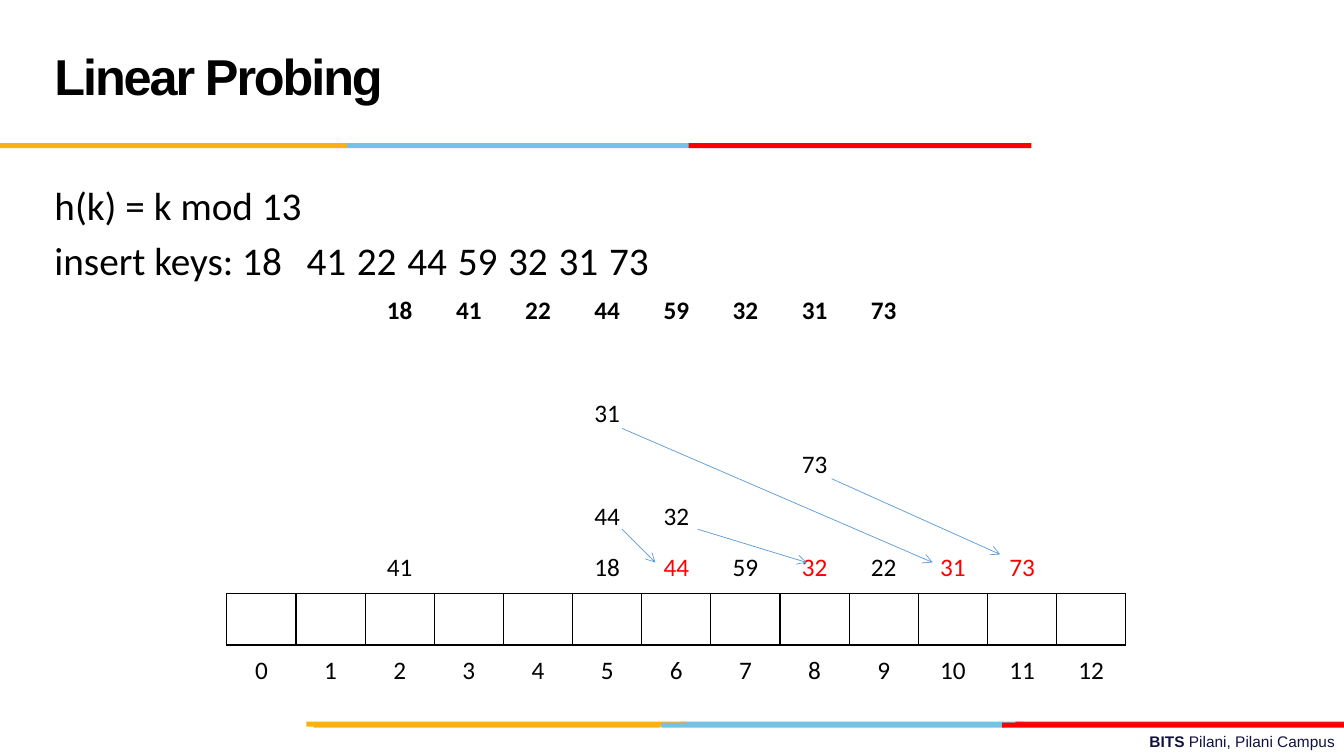
from lxml import etree
from pptx import Presentation
from pptx.dml.color import RGBColor
from pptx.enum.shapes import MSO_CONNECTOR, MSO_SHAPE
from pptx.enum.text import MSO_ANCHOR, MSO_AUTO_SIZE, PP_ALIGN
from pptx.oxml.ns import qn
from pptx.util import Inches, Pt

RECT = MSO_SHAPE.RECTANGLE
STRAIGHT = MSO_CONNECTOR.STRAIGHT
MIDDLE, TOP = MSO_ANCHOR.MIDDLE, MSO_ANCHOR.TOP
LEFT, CENTER, RIGHT = PP_ALIGN.LEFT, PP_ALIGN.CENTER, PP_ALIGN.RIGHT
PLAIN_GRID = "{2D5ABB26-0587-4C30-8999-92F81FD0307C}"

COLORS = {
    "black": "000000", "red": "FF0000", "brick": "E31C24", "blue": "76C2E5",
    "gold": "FCB017", "navy": "101141", "arrow": "5B9BD5",
}


class Deck:
    def __init__(self, slide):
        self.slide = slide
        self.shapes = slide.shapes

    def color(self, name):
        return RGBColor.from_string(COLORS[name])

    def style(self, font, size, face="Calibri", color="black", bold=False):
        font.name, font.size, font.bold = face, Pt(size), bold
        font.color.rgb = self.color(color)

    def place(self, shape, box, anchor=TOP):
        shape.left, shape.top, shape.width, shape.height = map(Inches, box)
        frame = shape.text_frame
        frame.word_wrap = True
        frame.auto_size = MSO_AUTO_SIZE.NONE
        frame.vertical_anchor = anchor
        return frame

    def title(self, text, box):
        frame = self.place(self.shapes.title, box, MIDDLE)
        frame.text = text
        line = frame.paragraphs[0]
        line.alignment = LEFT
        line.line_spacing = Pt(36)
        run = line.runs[0]
        self.style(run.font, 36, "Arial", bold=True)
        run.font._element.set("spc", "-150")

    def body(self, lines, box, stops):
        frame = self.place(self.slide.placeholders[1], box)
        frame.text = "\n".join(lines)
        for i, line in enumerate(frame.paragraphs):
            props = line._p.get_or_add_pPr()
            props.set("marL", "0")
            props.set("indent", "0")
            etree.SubElement(props, qn("a:buNone"))
            tabs = etree.SubElement(props, qn("a:tabLst"))
            for stop in stops:
                etree.SubElement(tabs, qn("a:tab"), pos=str(Inches(stop)), algn="l")
            line.space_before = Pt(5.6 if i else 0)
            for run in line.runs:
                self.style(run.font, 28)

    def footer(self, parts, box):
        shape = self.shapes.add_textbox(0, 0, 0, 0)
        line = self.place(shape, box).paragraphs[0]
        line.alignment = RIGHT
        for text, bold in parts:
            run = line.add_run()
            run.text = text
            self.style(run.font, 11, "Arial", "navy", bold)

    def bar(self, left, top, width, color):
        bar = self.shapes.add_shape(RECT, *map(Inches, (left, top, width, 0.05)))
        bar.shadow.inherit = False
        bar.fill.solid()
        bar.fill.fore_color.rgb = self.color(color)
        bar.line.fill.background()

    def border(self, cell, sides):
        props = cell._tc.get_or_add_tcPr()
        for side in sides:
            line = etree.SubElement(props, qn("a:ln" + side), w=str(Pt(1)))
            fill = etree.SubElement(line, qn("a:solidFill"))
            etree.SubElement(fill, qn("a:srgbClr"), val=COLORS["black"])

    def table(self, rows, cols, box, texts, sides, bold, red):
        table = self.shapes.add_table(rows, cols, *map(Inches, box)).table
        table.first_row = table.horz_banding = False
        table._tbl.tblPr.find(qn("a:tableStyleId")).text = PLAIN_GRID
        for r in range(rows):
            for c in range(cols):
                cell = table.cell(r, c)
                cell.vertical_anchor = MIDDLE
                self.border(cell, sides.get(r, ""))
                cell.fill.background()
                cell.text = str(texts.get((r, c), ""))
                line = cell.text_frame.paragraphs[0]
                line.alignment = CENTER
                tint = "red" if (r, c) in red else "black"
                for font in [line.font] + [run.font for run in line.runs]:
                    self.style(font, 18, color=tint, bold=r in bold)

    def arrow(self, *ends):
        arrow = self.shapes.add_connector(STRAIGHT, *map(Inches, ends))
        arrow.line.color.rgb = self.color("arrow")
        arrow.line.width = Pt(0.5)
        etree.SubElement(arrow.line._get_or_add_ln(), qn("a:tailEnd"), type="arrow")
        etree.SubElement(arrow._element.spPr, qn("a:effectLst"))


def main():
    show = Presentation()
    show.slide_width, show.slide_height = Inches(13.33), Inches(7.5)
    deck = Deck(show.slides.add_slide(show.slide_layouts[1]))

    # Footer and colour bars
    deck.footer([("BITS ", True), ("Pilani, Pilani Campus", False)],
                (4.78, 7.21, 8.56, 0.29))
    for bar in [
        (6.75, 7.16, 3.4, "blue"), (10.07, 7.16, 3.26, "brick"),
        (3.04, 7.16, 3.76, "gold"), (6.56, 7.17, 3.4, "blue"),
        (3.11, 7.17, 3.44, "gold"), (9.94, 7.17, 3.39, "red"),
        (3.44, 1.42, 3.4, "blue"), (0, 1.42, 3.44, "gold"),
        (6.83, 1.42, 3.4, "red"),
    ]:
        deck.bar(*bar)

    # Title and key list
    keys = [18, 41, 22, 44, 59, 32, 31, 73]
    deck.title("Linear Probing", (0.44, 0.17, 9.22, 1.25))
    deck.body(["h(k) = k mod 13", "insert keys: " + "\t".join(map(str, keys))],
              (0.44, 1.75, 12, 4.95), [2.78, 3.54, 4.19, 4.85, 5.59, 6.34, 7])

    # Hash table: keys on top, collisions, final slots, indices
    slots = 13
    texts = {(0, c): key for c, key in enumerate(keys, 2)}
    texts.update({(7, c): c for c in range(slots)})
    texts.update({(2, 5): 31, (3, 8): 73, (4, 5): 44, (4, 6): 32})
    final = {2: 41, 5: 18, 6: 44, 7: 59, 8: 32, 9: 22, 10: 31, 11: 73}
    texts.update({(5, c): key for c, key in final.items()})
    moved = {(5, c) for c, key in final.items() if key % slots != c}
    deck.table(8, slots, (2.25, 2.83, 8.92, 4.08), texts,
               {5: "B", 6: "LRTB", 7: "T"}, {0}, moved)

    # Probe arrows
    for ends in [(6.17, 5.25, 6.5, 5.58), (6.92, 5.25, 8, 5.58),
                 (6.17, 4.25, 9.25, 5.58), (8.25, 4.75, 9.92, 5.5)]:
        deck.arrow(*ends)

    show.save("out.pptx")


if __name__ == "__main__":
    main()
